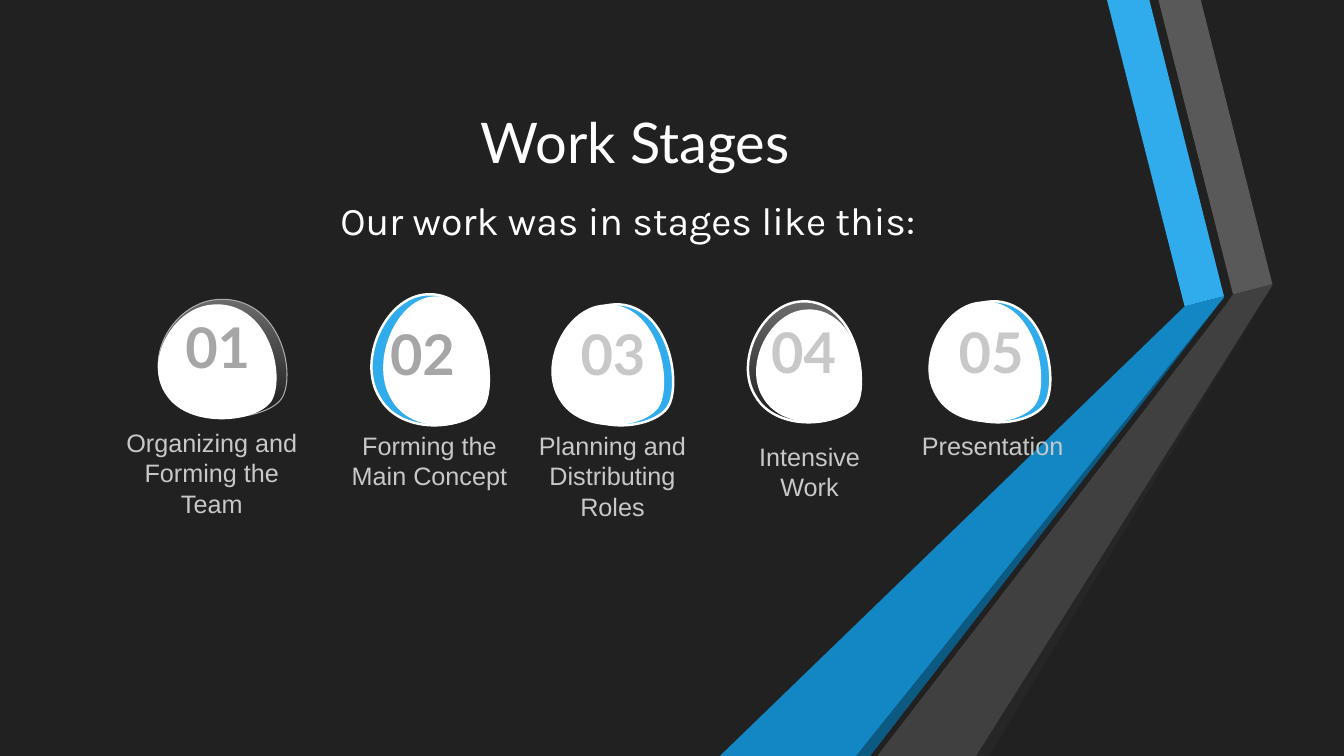
from pptx import Presentation
from pptx.dml.color import RGBColor
from pptx.enum.text import MSO_ANCHOR, MSO_AUTO_SIZE, PP_ALIGN
from pptx.oxml.ns import qn
from pptx.util import Inches, Pt
from lxml import etree

COLUMNS, ROWS = 13.33, 7.5
WIDTH, HEIGHT = Inches(COLUMNS), Inches(ROWS)
CENTER = PP_ALIGN.CENTER
TOP, MIDDLE = MSO_ANCHOR.TOP, MSO_ANCHOR.MIDDLE
GROW, FIXED = MSO_AUTO_SIZE.SHAPE_TO_FIT_TEXT, MSO_AUTO_SIZE.NONE

DARK, WHITE, BLUE, SILVER, ASH = "212121", "FFFFFF", "30ACEC", "C8C8C8", "A6A6A6"
SHADE = ("6B6B6B", "1B1B1B")

RIBBONS = [
    (BLUE, [(12.14, 2.94), (11.75, 3.04), (10.98, 0), (11.4, 0)]),
    ("595959", [(12.23, 2.92), (11.49, 0), (11.91, 0), (12.62, 2.82), (12.24, 2.92)]),
    ("262626", [(12.62, 2.83), (9.81, 7.5), (9.68, 7.5)]),
    ("0C5A82", [(8.49, 7.5), (12.14, 2.95), (8.63, 7.5)]),
    ("1287C3", [(12.14, 2.94), (12.14, 2.95), (8.49, 7.5), (7.14, 7.5), (11.75, 3.04)]),
    ("404040", [(8.7, 7.5), (12.16, 3.02), (12.23, 2.92), (12.62, 2.82),
                (12.62, 2.83), (9.68, 7.5)]),
]

PEBBLE = [(0.52, 0), (0.22, 0), (0, 0.5), (0.17, 0.79), (0.25, 0.94), (0.41, 1),
          (0.56, 1), (0.72, 1), (0.88, 0.93), (0.92, 0.82), (1, 0.6), (0.9, 0.03),
          (0.55, 0), (0.54, 0), (0.53, 0), (0.52, 0)]

STAGES = [
    ("Organizing and Forming the Team", ASH, SHADE, ("ABABAB", 0.75),
     (1.4, 2.97, 1.53, 1.17), (1.41, 3.02, 1.41, 1.14),
     (1.41, 3.15, 1.5, 0.57), (1.09, 4.19, 2.02, 1.01)),
    ("Forming the Main Concept", ASH, BLUE, (WHITE, 1.75),
     (3.53, 2.92, 1.39, 1.3), (3.66, 2.94, 1.27, 1.28),
     (3.44, 3.2, 1.5, 0.6), (3.28, 4.22, 1.96, 0.71)),
    ("Planning and Distributing Roles", SILVER, BLUE, (WHITE, 1.75),
     (5.41, 3.02, 1.34, 1.2), (5.32, 3.02, 1.34, 1.2),
     (5.33, 3.2, 1.5, 0.6), (5.01, 4.22, 2.13, 1.01)),
    ("Intensive Work", SILVER, SHADE, (WHITE, 1.75),
     (7.27, 2.99, 1.34, 1.2), (7.36, 3.07, 1.26, 1.12),
     (7.22, 3.18, 1.5, 0.6), (7.36, 4.33, 1.34, 0.71)),
    ("Presentation", SILVER, BLUE, (WHITE, 1.75),
     (9.15, 2.99, 1.34, 1.2), (9.06, 2.99, 1.34, 1.2),
     (9.08, 3.18, 1.5, 0.6), (9.02, 4.22, 1.65, 0.4)),
]


def color(value):
    return RGBColor.from_string(value)


def col(count):
    return round(WIDTH * count / COLUMNS)


def row(count):
    return round(HEIGHT * count / ROWS)


def paint(shape, fill, outline=None):
    shape.shadow.inherit = False
    if isinstance(fill, tuple):
        shape.fill.gradient()
        shape.fill.gradient_angle = 270
        for stop, value in zip(shape.fill.gradient_stops, fill):
            stop.color.rgb = color(value)
    else:
        shape.fill.solid()
        shape.fill.fore_color.rgb = color(fill)
    if outline:
        shape.line.color.rgb = color(outline[0])
        shape.line.width = Pt(outline[1])
    else:
        shape.line.fill.background()


def add_outline(shapes, points):
    start, *rest = [(col(x), row(y)) for x, y in points]
    builder = shapes.build_freeform(*start)
    builder.add_line_segments(rest)
    return builder.convert_to_shape()


def curve(shape):
    segments = list(shape.element.iter(qn("a:lnTo")))
    for first in range(0, len(segments) - 2, 3):
        bezier = etree.Element(qn("a:cubicBezTo"))
        segments[first].addprevious(bezier)
        for segment in segments[first:first + 3]:
            bezier.append(segment[0])
            segment.getparent().remove(segment)


def add_pebble(shapes, box, fill, outline=None):
    left, top, width, height = box
    pebble = add_outline(shapes, [(left + x * width, top + y * height) for x, y in PEBBLE])
    curve(pebble)
    paint(pebble, fill, outline)


def add_text(slide, box, wording, font, size, fill, bold=False, anchor=TOP,
             inset=None, grow=FIXED, before=0, after=0):
    left, top, width, height = box
    frame = slide.shapes.add_textbox(col(left), row(top), col(width), row(height)).text_frame
    frame.word_wrap = True
    frame.auto_size = grow
    frame.vertical_anchor = anchor
    if inset:
        frame.margin_left = frame.margin_right = col(inset)
        frame.margin_top = frame.margin_bottom = row(inset)
    paragraph = frame.paragraphs[0]
    paragraph.alignment = CENTER
    paragraph.space_before, paragraph.space_after = Pt(before), Pt(after)
    run = paragraph.add_run()
    run.text = wording
    run.font.name, run.font.size, run.font.bold = font, Pt(size), bold
    run.font.color.rgb = color(fill)


def add_ribbons(slide):
    group = slide.shapes.add_group_shape()
    for fill, points in RIBBONS:
        paint(add_outline(group.shapes, points), fill)


def add_stage(slide, number, stage):
    label, number_color, rim, outline, back, front, number_box, label_box = stage
    group = slide.shapes.add_group_shape()
    add_pebble(group.shapes, back, rim, outline)
    add_pebble(group.shapes, front, WHITE)
    add_text(slide, number_box, f"{number:02}", "Lato", 40, number_color,
             bold=True, anchor=MIDDLE, inset=0.1)
    add_text(slide, label_box, label, "Arial", 18, SILVER, grow=GROW)


def main():
    deck = Presentation()
    deck.slide_width, deck.slide_height = WIDTH, HEIGHT
    slide = deck.slides.add_slide(deck.slide_layouts[6])
    slide.background.fill.solid()
    slide.background.fill.fore_color.rgb = color(DARK)
    add_ribbons(slide)
    add_text(slide, (1.11, 0.44, 10.38, 1.92), "Work Stages", "Lato", 40, WHITE, anchor=MIDDLE)
    add_text(slide, (1.1, 1.9, 10.25, 0.71), "Our work was in stages like this:",
             "Karla", 28, WHITE, before=5.6, after=6)
    for number, stage in enumerate(STAGES, 1):
        add_stage(slide, number, stage)
    deck.save("out.pptx")


main()
